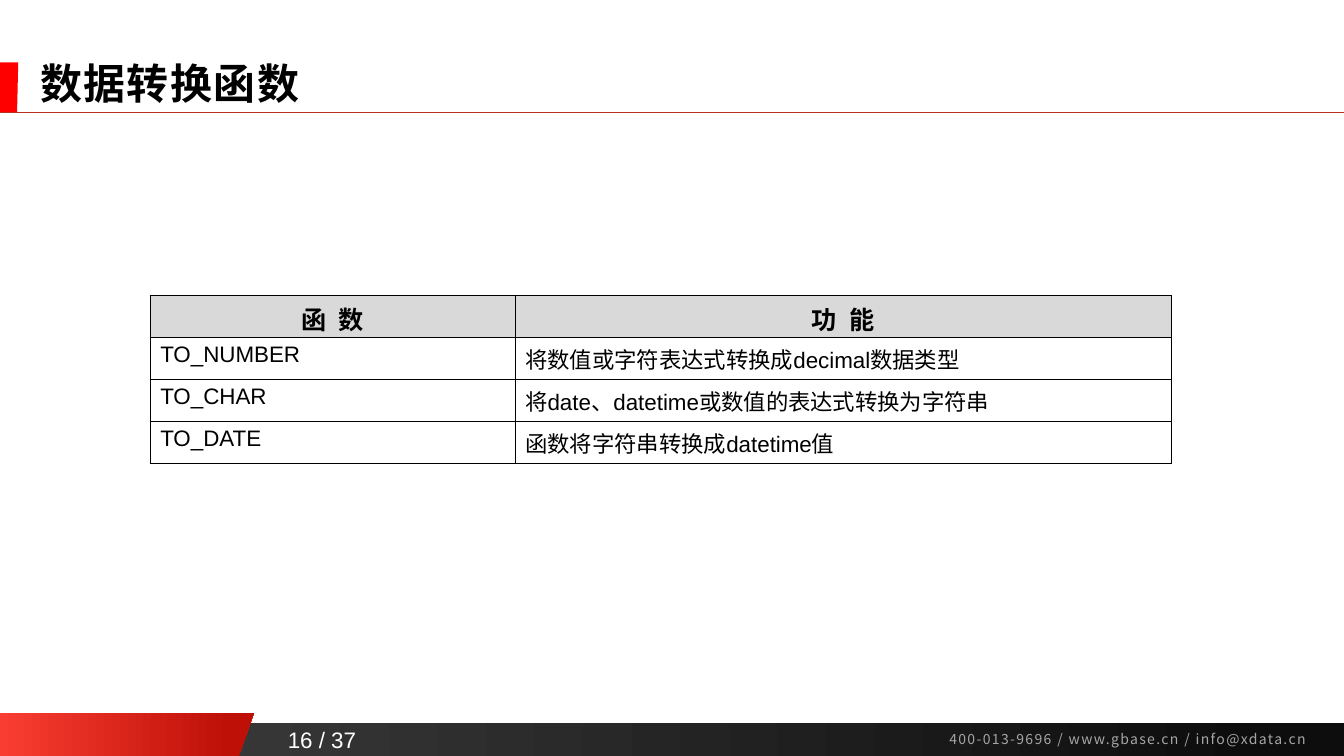
from lxml import etree
from pptx import Presentation
from pptx.dml.color import RGBColor
from pptx.enum import shapes, text
from pptx.oxml import ns
from pptx.util import Pt

COLORS = {
    "black": "000000", "white": "FFFFFF", "red": "FF0000", "rule": "B82E24",
    "contact": "A6A6A6", "header": "D9D9D9",
    "bar_start": "404040", "bar_end": "0D0D0D",
    "tab_start": "F93D32", "tab_end": "BE1007",
}


def write(frame, content, size, color="black", bold=False, align=None, name="Arial", spacing=0):
    paragraph = frame.paragraphs[0]
    run = paragraph.add_run()
    run.text = content
    paragraph.alignment = align
    paragraph.font.name = name
    paragraph.font.size = Pt(size)
    paragraph.font.bold = bold
    paragraph.font.color.rgb = RGBColor.from_string(COLORS[color])
    if spacing:
        run._r.get_or_add_rPr().set("spc", str(round(spacing * 100)))
    return paragraph


def paint(shape, start, end=None, stop=1):
    shape.shadow.inherit = False
    shape.line.fill.background()
    if end is None:
        shape.fill.solid()
        shape.fill.fore_color.rgb = RGBColor.from_string(COLORS[start])
        return
    shape.fill.gradient()
    shape.fill.gradient_angle = 0
    for gradient_stop, color, position in zip(shape.fill.gradient_stops, (start, end), (0, stop)):
        gradient_stop.color.rgb = RGBColor.from_string(COLORS[color])
        gradient_stop.position = position


presentation = Presentation()
presentation.slide_width, presentation.slide_height = Pt(960), Pt(540)
slide = presentation.slides.add_slide(presentation.slide_layouts[5])

footer = slide.shapes.add_shape(shapes.MSO_SHAPE.RECTANGLE, 0, Pt(516.2), Pt(960), Pt(23.8))
paint(footer, "bar_start", "bar_end", 0.94)

slanted = [
    (509, 540, 181.5, 170.5, ("tab_start", "tab_end", 0.91)),
    (44.6, 80.4, 13, 12.2, ("red",)),
]
for top, bottom, top_right, bottom_right, colors in slanted:
    builder = slide.shapes.build_freeform(0, Pt(top))
    builder.add_line_segments(
        [(Pt(top_right), Pt(top)), (Pt(bottom_right), Pt(bottom)), (0, Pt(bottom))], close=True)
    paint(builder.convert_to_shape(), *colors)

contact = slide.shapes.add_textbox(Pt(671), Pt(518.4), Pt(287.5), Pt(19.4))
contact.text_frame.word_wrap = True
write(contact.text_frame, "400-013-9696 / www.gbase.cn / info@xdata.cn", 10, "contact",
      name="Noto Sans CJK SC", spacing=1)

rule = slide.shapes.add_connector(shapes.MSO_CONNECTOR.STRAIGHT, 0, Pt(80), Pt(960), Pt(80))
rule.line.color.rgb = RGBColor.from_string(COLORS["rule"])
rule.line.width = Pt(0.5)
etree.SubElement(rule._element.spPr, ns.qn("a:effectLst"))

page = slide.shapes.add_textbox(Pt(197), Pt(515), Pt(66), Pt(26.6))
page.text_frame.word_wrap = False
page.text_frame.vertical_anchor = text.MSO_ANCHOR.BOTTOM
write(page.text_frame, "16 / 37", 16, "white", align=text.PP_ALIGN.CENTER)

title = slide.shapes.title
title.left, title.top, title.width, title.height = Pt(21.6), Pt(42.5), Pt(882.7), Pt(38.2)
title.text_frame.auto_size = text.MSO_AUTO_SIZE.NONE
title.text_frame.vertical_anchor = text.MSO_ANCHOR.MIDDLE
heading = write(title.text_frame, "数据转换函数", 30, bold=True, align=text.PP_ALIGN.LEFT, spacing=1)
heading.line_spacing = 0.9

rows = [
    ("函 数", "功 能"),
    ("TO_NUMBER", "将数值或字符表达式转换成decimal数据类型"),
    ("TO_CHAR", "将date、datetime或数值的表达式转换为字符串"),
    ("TO_DATE", "函数将字符串转换成datetime值"),
]
table = slide.shapes.add_table(len(rows), 2, Pt(107.3), Pt(211), Pt(729.4), Pt(120.4)).table
table.columns[0].width, table.columns[1].width = Pt(260.7), Pt(468.7)
for row_index, row in enumerate(rows):
    table.rows[row_index].height = Pt(30.1)
    is_header = row_index == 0
    for column_index, content in enumerate(row):
        cell = table.cell(row_index, column_index)
        write(cell.text_frame, content, 18 if is_header else 16, bold=is_header,
              align=text.PP_ALIGN.CENTER if is_header else text.PP_ALIGN.LEFT,
              spacing=2.5 if is_header else 0)
        properties = cell._tc.get_or_add_tcPr()
        for side in ("lnL", "lnR", "lnT", "lnB"):
            border = etree.SubElement(properties, ns.qn(f"a:{side}"), w=str(Pt(1)))
            fill = etree.SubElement(border, ns.qn("a:solidFill"))
            etree.SubElement(fill, ns.qn("a:srgbClr"), val=COLORS["black"])
        if is_header:
            cell.fill.solid()
            cell.fill.fore_color.rgb = RGBColor.from_string(COLORS["header"])
        else:
            cell.fill.background()

presentation.save("out.pptx")
